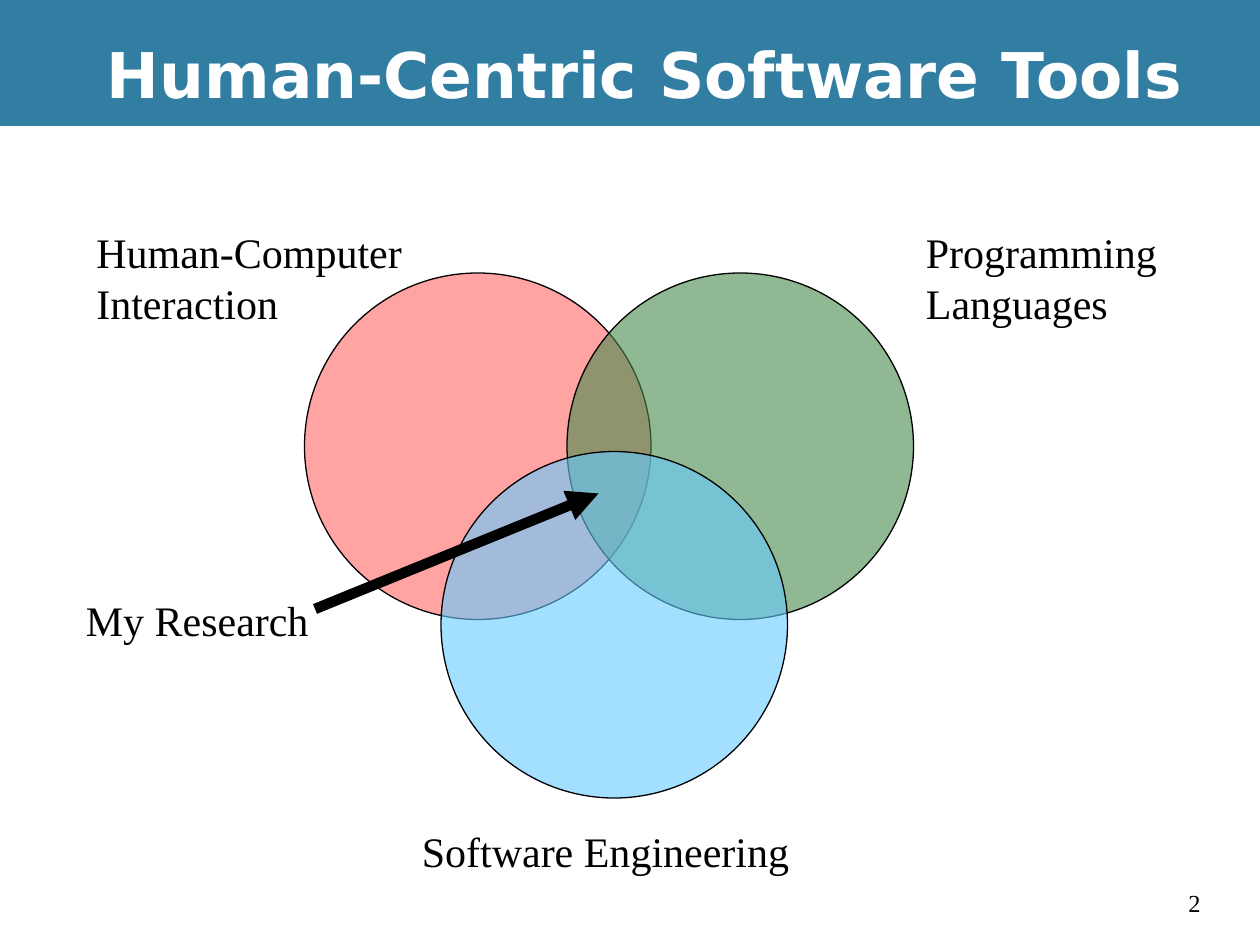
from lxml.etree import SubElement
from pptx import Presentation
from pptx.dml.color import RGBColor
from pptx.enum.shapes import MSO_CONNECTOR, MSO_SHAPE
from pptx.enum.text import MSO_ANCHOR, MSO_AUTO_SIZE
from pptx.oxml.ns import qn
from pptx.util import Inches, Pt

# The slide is a grid of 120 columns by 90 rows, twelve to the inch
COLUMNS, ROWS = 120, 90
HEADER_ROWS = 12
CIRCLE_SIZE = 33

TITLE_FORMAT = {"name": "DejaVu Sans", "size": Pt(36), "bold": True}
LABEL_FORMAT = {"name": "Times New Roman", "size": Pt(24)}
NUMBER_FORMAT = {"name": "Times New Roman", "size": Pt(14)}

# Circle column, row and colour; label text and its place on the grid
FIELDS = [
    (29, 26, "FF6666", ["Human-Computer", "Interaction"], (8, 21, 31.5, 10.8)),
    (54, 26, "468A4B", ["Programming", "Languages"], (87, 21, 24.4, 10.8)),
    (42, 43, "66CCFF", ["Software Engineering"], (39, 78, 37.5, 6)),
]


def color(hex_value):
    return RGBColor.from_string(hex_value)


def grid(*cells):
    return [Inches(cell / 12) for cell in cells]


def add_band(shapes, place, fill):
    band = shapes.add_shape(MSO_SHAPE.RECTANGLE, *grid(*place))
    band.shadow.inherit = False
    band.fill.solid()
    band.fill.fore_color.rgb = color(fill)
    band.line.fill.background()


def add_text(shapes, lines, place, font_format, font_color="000000",
             wrap=False, anchor=MSO_ANCHOR.TOP):
    frame = shapes.add_textbox(*grid(*place)).text_frame
    frame.text = "\n".join(lines)
    frame.word_wrap = wrap
    frame.vertical_anchor = anchor
    frame.auto_size = MSO_AUTO_SIZE.NONE if wrap else MSO_AUTO_SIZE.SHAPE_TO_FIT_TEXT
    for paragraph in frame.paragraphs:
        for name, value in font_format.items():
            setattr(paragraph.font, name, value)
        paragraph.font.color.rgb = color(font_color)


def add_circle(shapes, column, row, fill):
    circle = shapes.add_shape(
        MSO_SHAPE.OVAL, *grid(column, row, CIRCLE_SIZE, CIRCLE_SIZE))
    circle.shadow.inherit = False
    circle.fill.solid()
    circle.fill.fore_color.rgb = color(fill)
    circle.line.color.rgb = color("000000")
    circle.line.width = Pt(0.75)
    # Let the overlaps show through
    fill_color = circle.fill._xPr.find(qn("a:solidFill"))[0]
    SubElement(fill_color, qn("a:alpha"), val="60000")


def add_arrow(shapes, start, end):
    arrow = shapes.add_connector(MSO_CONNECTOR.STRAIGHT, *grid(*start, *end))
    arrow.line.color.rgb = color("000000")
    arrow.line.width = Pt(6)
    SubElement(arrow.line._get_or_add_ln(), qn("a:tailEnd"), type="triangle")
    SubElement(arrow._element.spPr, qn("a:effectLst"))


def main():
    presentation = Presentation()
    presentation.slide_width, presentation.slide_height = grid(COLUMNS, ROWS)
    slide = presentation.slides.add_slide(presentation.slide_layouts[6])
    slide.background.fill.solid()
    slide.background.fill.fore_color.rgb = color("000000")

    # Page, header band, slide number and title
    add_band(slide.shapes, (0, HEADER_ROWS, COLUMNS, ROWS - HEADER_ROWS), "FFFFFF")
    add_band(slide.shapes, (0, 0, COLUMNS, HEADER_ROWS), "327EA3")
    add_text(slide.shapes, ["2"], (112, 84, 6, 4), NUMBER_FORMAT, wrap=True)
    add_text(slide.shapes, ["Human-Centric Software Tools"], (9, 1, 111, 12),
             TITLE_FORMAT, "FFFFFF", wrap=True, anchor=MSO_ANCHOR.MIDDLE)

    # Venn diagram: each circle is grouped with its label
    for column, row, fill, lines, label_place in FIELDS:
        group = slide.shapes.add_group_shape()
        add_circle(group.shapes, column, row, fill)
        add_text(group.shapes, lines, label_place, LABEL_FORMAT)

    # Pointer to the shared centre
    pointer = slide.shapes.add_group_shape()
    add_arrow(pointer.shapes, (30, 58), (57, 47))
    add_text(pointer.shapes, ["My Research"], (7, 56, 23.6, 6), LABEL_FORMAT)

    presentation.save("out.pptx")


if __name__ == "__main__":
    main()
